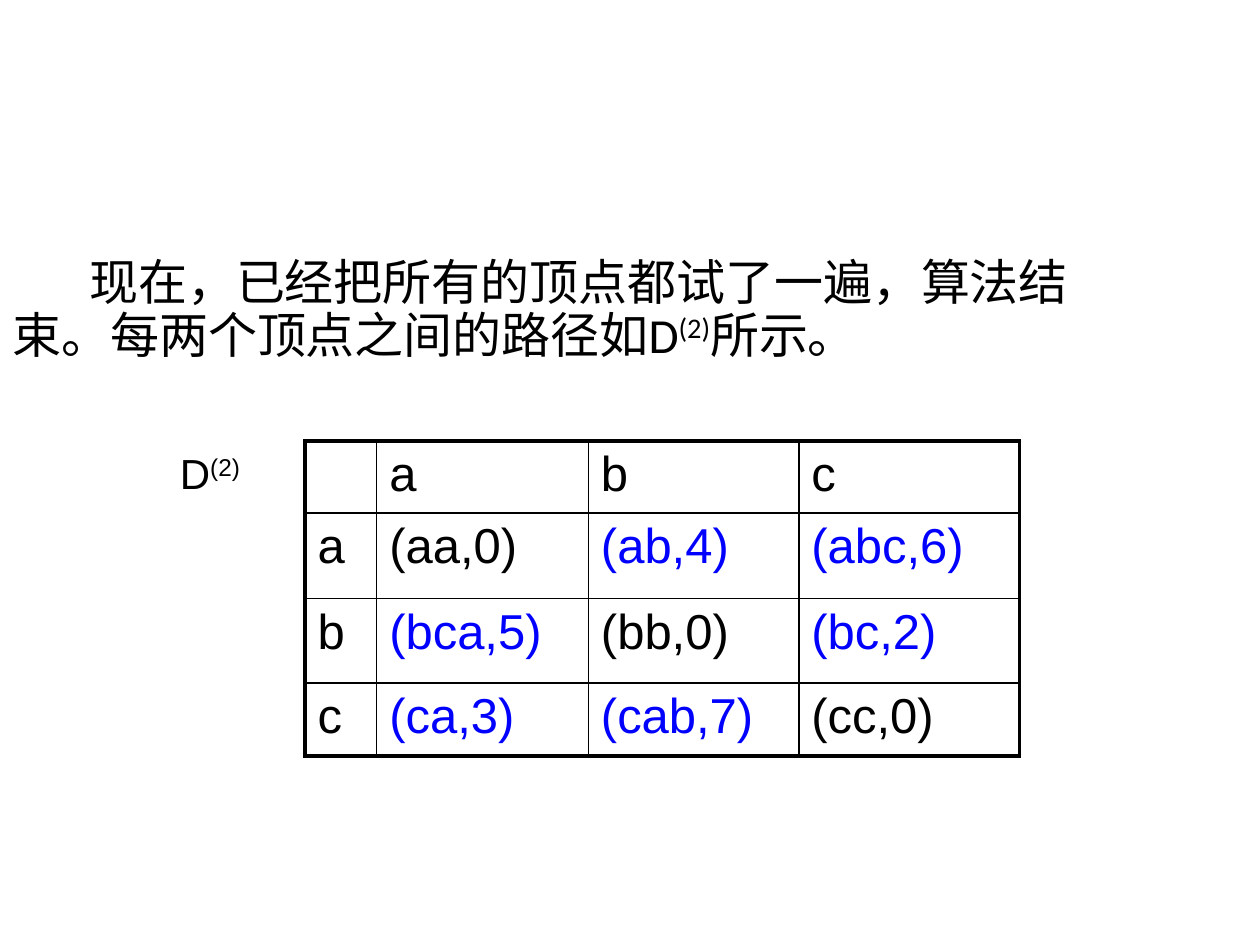
from lxml.etree import SubElement
from pptx import Presentation
from pptx.dml.color import RGBColor
from pptx.oxml.ns import qn
from pptx.util import Inches, Pt

BLACK, BLUE = "000000", "0000FF"
BODY = [("现在，已经把所有的顶点都试了一遍，算法结束。每两个顶点之间的路径如D", False),
        ("(2)", True), ("所示。", False)]
LABEL = [("D", False), ("(2)", True)]
PATHS = [
    ["", "a", "b", "c"],
    ["a", "(aa,0)", "(ab,4)", "(abc,6)"],
    ["b", "(bca,5)", "(bb,0)", "(bc,2)"],
    ["c", "(ca,3)", "(cab,7)", "(cc,0)"],
]
COLS = [0.57, 1.68, 1.67, 1.75]
ROWS = [0.57, 0.68, 0.67, 0.58]
THIN, THICK = 1, 2.25


def style(r, font, size, color):
    r.font.name, r.font.size = font, Pt(size)
    r.font.color.rgb = RGBColor.from_string(color)


def add_text(slide, box, runs, font, size):
    tf = slide.shapes.add_textbox(*map(Inches, box)).text_frame
    tf.word_wrap = True
    p = tf.paragraphs[0]
    for text, raised in runs:
        r = p.add_run()
        r.text = text
        style(r, font, size, BLACK)
        if raised:
            r.font._element.set("baseline", "30000")
    return p


def add_border(cell, side, width):
    ln = SubElement(cell._tc.get_or_add_tcPr(), qn(f"a:ln{side}"), w=str(Pt(width)))
    SubElement(SubElement(ln, qn("a:solidFill")), qn("a:srgbClr"), val=BLACK)


def add_paths(slide, left, top):
    n = len(PATHS)
    table = slide.shapes.add_table(n, n, Inches(left), Inches(top),
                                   Inches(sum(COLS)), Inches(sum(ROWS))).table
    table.first_row = table.horz_banding = False
    for i in range(n):
        table.columns[i].width = Inches(COLS[i])
        table.rows[i].height = Inches(ROWS[i])
    for i, row in enumerate(PATHS):
        for j, text in enumerate(row):
            cell = table.cell(i, j)
            outer = {"L": j == 0, "R": j == n - 1, "T": i == 0, "B": i == n - 1}
            for side, edge in outer.items():
                add_border(cell, side, THICK if edge else THIN)
            cell.fill.background()
            cell.text_frame.text = text
            for r in cell.text_frame.paragraphs[0].runs:
                style(r, "Arial", 28, BLUE if i and j and i != j else BLACK)


def main():
    """Build the slide with the final shortest-path table."""
    prs = Presentation()
    prs.slide_width, prs.slide_height = Inches(10), Inches(7.5)
    slide = prs.slides.add_slide(prs.slide_layouts[6])
    p = add_text(slide, (0, 2, 8.62, 4.76), BODY, "Calibri", 28)
    p.line_spacing = 0.9
    p._p.get_or_add_pPr().set("indent", str(Inches(0.61)))
    add_paths(slide, 2.42, 3.5)
    add_text(slide, (1.33, 3.5, 1, 0.5), LABEL, "Arial", 24)
    prs.save("out.pptx")


if __name__ == "__main__":
    main()
